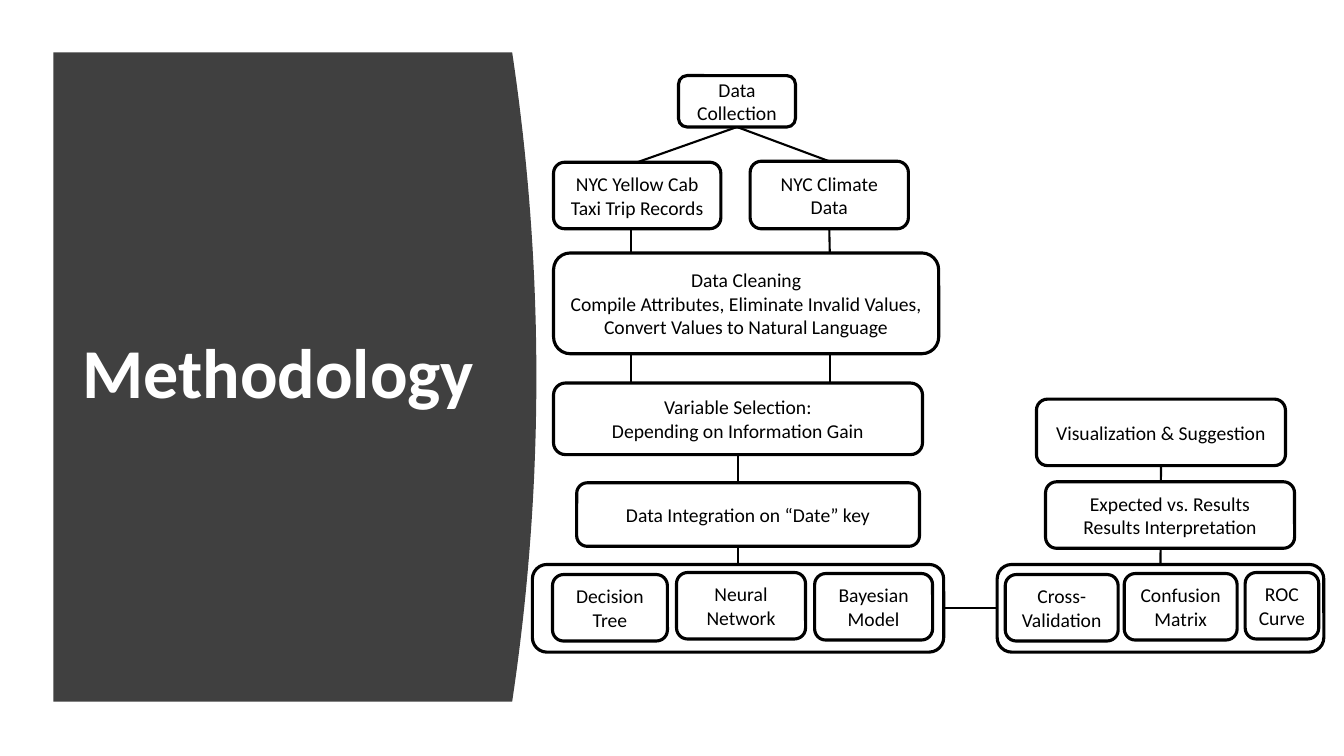
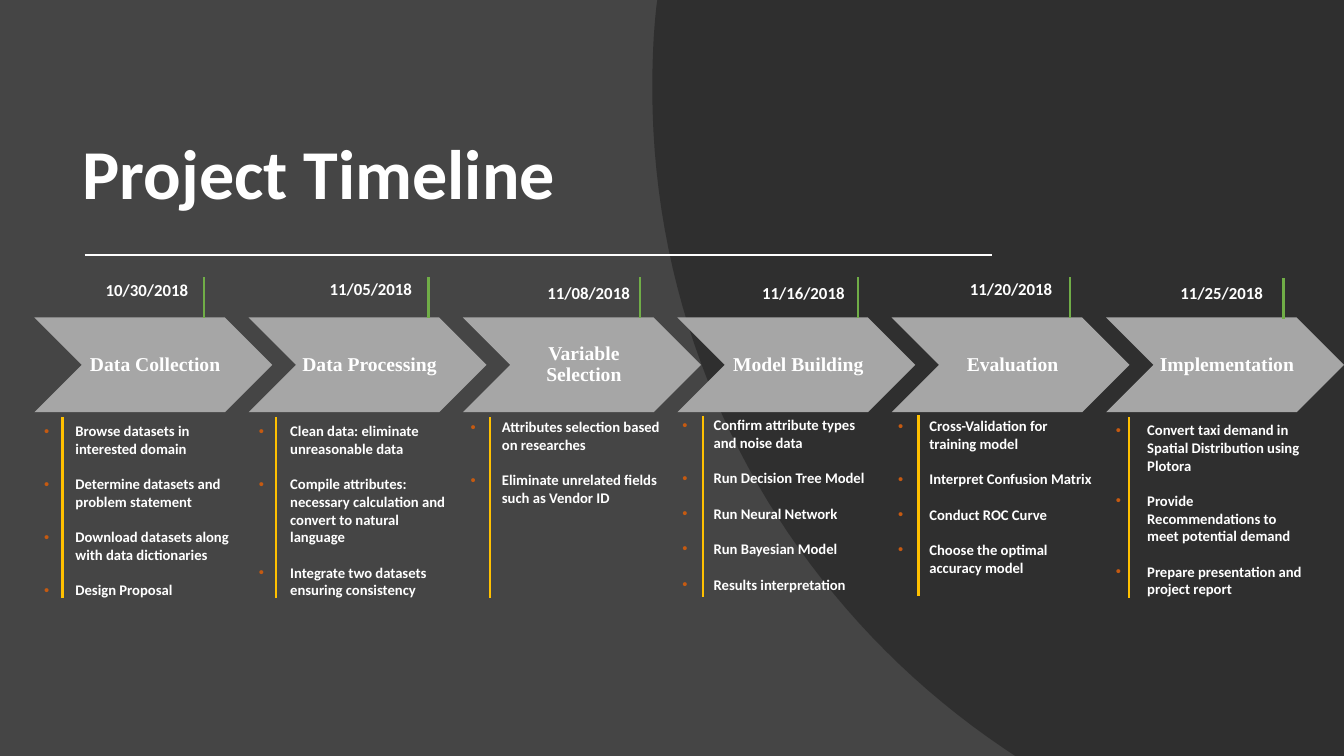
from dataclasses import dataclass

import lxml.etree
import pptx
import pptx.dml.color
import pptx.enum.shapes
import pptx.enum.text
import pptx.oxml.ns
import pptx.util

Inches = pptx.util.Inches
Pt = pptx.util.Pt
Color = pptx.dml.color.RGBColor
Shape = pptx.enum.shapes.MSO_SHAPE
Align = pptx.enum.text.PP_ALIGN
Anchor = pptx.enum.text.MSO_ANCHOR
qn = pptx.oxml.ns.qn
Point = tuple[float, float]
Area = tuple[float, float, float, float]
TOP, LEFT, BOTTOM, RIGHT = range(4)


@dataclass(frozen=True)
class Theme:
    white: Color = Color.from_string("FFFFFF")
    black: Color = Color.from_string("000000")
    panel: Color = Color.from_string("404040")
    backdrop: Color = Color.from_string("454545")
    shade: Color = Color.from_string("262626")
    step: Color = Color.from_string("A6A6A6")
    rule: Color = Color.from_string("FFC000")
    tick: Color = Color.from_string("70AD47")
    bullet: str = "C55A11"
    font: str = "Calibri"
    step_font: str = "Times New Roman"
    title_size: float = 50
    label_size: float = 14
    date_size: float = 12
    task_size: float = 10.5
    task_gap: float = 12.7
    line_width: float = 1.5
    border_width: float = 2.25


@dataclass(frozen=True)
class Node:
    key: str
    area: Area
    text: str = ""


@dataclass(frozen=True)
class Link:
    """A line between two node sides; a missing node leaves that end loose."""
    start: Point
    end: Point
    from_node: str = ""
    from_side: int = BOTTOM
    to_node: str = ""
    to_side: int = TOP


@dataclass(frozen=True)
class Stage:
    name: str
    date: str
    date_at: Point
    tick_at: Point
    rule_at: Point
    tasks_area: Area
    tasks: tuple[str, ...]


THEME = Theme()

NODES = (
    Node("collection", (6.73, 0.75, 1.16, 0.51), "Data Collection"),
    Node("climate", (7.44, 1.6, 1.57, 0.67), "NYC Climate Data"),
    Node("taxi", (5.49, 1.61, 1.66, 0.66), "NYC Yellow Cab Taxi Trip Records"),
    Node("cleaning", (5.49, 2.51, 3.82, 1),
         "Data Cleaning\nCompile Attributes, Eliminate Invalid Values,\n"
         "Convert Values to Natural Language"),
    Node("selection", (5.49, 3.8, 3.66, 0.71),
         "Variable Selection:\nDepending on Information Gain"),
    Node("visualization", (10.28, 3.96, 2.47, 0.66), "Visualization & Suggestion"),
    Node("models", (5.28, 5.6, 4.08, 0.87)),
    Node("tree", (5.48, 5.7, 1.14, 0.66), "Decision Tree"),
    Node("network", (6.71, 5.68, 1.28, 0.66), "Neural Network"),
    Node("bayes", (8.08, 5.69, 1.17, 0.66), "Bayesian Model"),
    Node("checks", (9.89, 5.6, 3.24, 0.87)),
    Node("cross", (9.97, 5.7, 1.12, 0.66), "Cross-Validation"),
    Node("confusion", (11.15, 5.69, 1.12, 0.66), "Confusion Matrix"),
    Node("roc", (12.35, 5.68, 0.73, 0.66), "ROC Curve"),
)
# These lie over a link that runs behind them.
FRONT_NODES = (
    Node("integration", (5.72, 4.79, 3.4, 0.63), "Data Integration on “Date” key"),
    Node("results", (10.37, 4.78, 2.47, 0.66),
         "Expected vs. Results\nResults Interpretation"),
)
LINKS = (
    Link((7.31, 1.26), (8.23, 1.6), "collection", BOTTOM, "climate", TOP),
    Link((7.31, 1.26), (6.32, 1.61), "collection", BOTTOM, "taxi", TOP),
    Link((6.26, 2.26), (6.26, 2.51)),
    Link((8.23, 2.27), (8.23, 2.51), "climate"),
    Link((6.26, 3.51), (6.26, 3.8)),
    Link((8.23, 3.51), (8.23, 3.8)),
    Link((7.32, 4.51), (7.32, 5.6), "selection", BOTTOM, "models", TOP),
    Link((9.36, 6.03), (9.89, 6.03), "models", RIGHT, "checks", LEFT),
    Link((11.51, 4.62), (11.51, 5.6), "visualization", BOTTOM, "checks", TOP),
)

STAGES = (
    Stage("Data Collection", "10/30/2018", (0.95, 2.73), (2.02, 2.75), (0.62, 4.14),
          (0.34, 4.14, 2.12, 1.87),
          ("Browse datasets in interested domain",
           "Determine datasets and problem statement",
           "Download datasets along with data dictionaries",
           "Design Proposal")),
    Stage("Data Processing", "11/05/2018", (3.17, 2.72), (4.25, 2.75), (2.74, 4.14),
          (2.47, 4.14, 2.12, 2.04),
          ("Clean data: eliminate unreasonable data",
           "Compile attributes: necessary calculation and convert to natural language",
           "Integrate two datasets ensuring consistency")),
    Stage("Variable Selection", "11/08/2018", (5.33, 2.76), (6.35, 2.75), (4.86, 4.14),
          (4.57, 4.1, 2.12, 1.34),
          ("Attributes selection based on researches",
           "Eliminate unrelated fields such as Vendor ID")),
    Stage("Model Building", "11/16/2018", (7.46, 2.76), (8.51, 2.75), (6.97, 4.13),
          (6.67, 4.08, 2.12, 2.4),
          ("Confirm attribute types and noise data",
           "Run Decision Tree Model",
           "Run Neural Network",
           "Run Bayesian Model",
           "Results interpretation")),
    Stage("Evaluation", "11/20/2018", (9.52, 2.72), (10.61, 2.75), (9.11, 4.12),
          (8.81, 4.09, 2.12, 2.04),
          ("Cross-Validation for training model",
           "Interpret Confusion Matrix",
           "Conduct ROC Curve",
           "Choose the optimal accuracy model")),
    Stage("Implementation", "11/25/2018", (11.61, 2.76), (12.73, 2.76), (11.2, 4.14),
          (10.97, 4.13, 2.12, 2.04),
          ("Convert taxi demand in Spatial Distribution using Plotora",
           "Provide Recommendations to meet potential demand",
           "Prepare presentation and project report")),
)


def inches(values: tuple[float, ...]) -> list[pptx.util.Length]:
    return [Inches(value) for value in values]


def write(box, text: str, size: float, color: Color, font: str = THEME.font,
          bold: bool = True, align=Align.LEFT, anchor=Anchor.TOP,
          spacing: float = 1.0) -> None:
    frame = box.text_frame
    frame.text = text
    frame.word_wrap = True
    frame.vertical_anchor = anchor
    for para in frame.paragraphs:
        para.alignment = align
        para.line_spacing = spacing
        for span in para.runs:
            span.font.name = font
            span.font.size = Pt(size)
            span.font.bold = bold
            span.font.color.rgb = color


def add_text(page, area: Area, text: str, size: float, **style):
    box = page.shapes.add_textbox(*inches(area))
    write(box, text, size, THEME.white, **style)
    return box


def add_title(page, area: Area, text: str, anchor) -> None:
    add_text(page, area, text, THEME.title_size, anchor=anchor, spacing=0.9)


def add_line(page, start: Point, end: Point, color: Color):
    line = page.shapes.add_connector(
        pptx.enum.shapes.MSO_CONNECTOR.STRAIGHT, *inches(start + end))
    line.line.color.rgb = color
    line.line.width = Pt(THEME.line_width)
    lxml.etree.SubElement(line.element.spPr, qn("a:effectLst"))
    return line


def add_outline(page, points: list[Point], color: Color):
    start, *others = [inches(point) for point in points]
    builder = page.shapes.build_freeform(*start)
    builder.add_line_segments(others, close=True)
    outline = builder.convert_to_shape()
    outline.shadow.inherit = False
    outline.fill.solid()
    outline.fill.fore_color.rgb = color
    outline.line.fill.background()
    return outline


def curve(a: Point, b: Point, c: Point, d: Point, steps: int = 40) -> list[Point]:
    """Points along a cubic Bézier curve."""
    points = []
    for step in range(steps + 1):
        t = step / steps
        weights = ((1 - t) ** 3, 3 * t * (1 - t) ** 2, 3 * t * t * (1 - t), t ** 3)
        x, y = (sum(w * p for w, p in zip(weights, axis)) for axis in zip(a, b, c, d))
        points.append((x, y))
    return points


def add_node(page, node: Node):
    box = page.shapes.add_shape(Shape.ROUNDED_RECTANGLE, *inches(node.area))
    box.shadow.inherit = False
    box.line.color.rgb = THEME.black
    box.line.width = Pt(THEME.border_width)
    if node.text:
        box.fill.solid()
        box.fill.fore_color.rgb = THEME.white
        write(box, node.text, THEME.label_size, THEME.black, bold=False,
              align=Align.CENTER, anchor=Anchor.MIDDLE)
    else:
        box.fill.background()
    return box


def add_bullet(para) -> None:
    properties = para._p.get_or_add_pPr()
    properties.set("marL", str(Inches(0.31)))
    properties.set("indent", str(Inches(-0.31)))
    color = lxml.etree.SubElement(properties, qn("a:buClr"))
    lxml.etree.SubElement(color, qn("a:srgbClr"), val=THEME.bullet)
    lxml.etree.SubElement(properties, qn("a:buFont"), typeface="Arial")
    lxml.etree.SubElement(properties, qn("a:buChar"), char="•")


def add_stage(page, stage: Stage, left: float) -> None:
    step = page.shapes.add_shape(Shape.CHEVRON, *inches((left, 3.15, 2.36, 0.94)))
    step.shadow.inherit = False
    step.fill.solid()
    step.fill.fore_color.rgb = THEME.step
    step.line.fill.background()
    write(step, stage.name, THEME.label_size, THEME.white, font=THEME.step_font,
          align=Align.CENTER, anchor=Anchor.MIDDLE, spacing=0.9)
    frame = step.text_frame
    frame.margin_left = Inches(0.06)
    frame.margin_right = frame.margin_top = frame.margin_bottom = Inches(0.02)

    for (x, y), length, color in ((stage.rule_at, 1.79, THEME.rule),
                                  (stage.tick_at, 0.4, THEME.tick)):
        add_line(page, (x, y), (x, y + length), color)
    add_text(page, stage.date_at + (1.22, 0.3), stage.date, THEME.date_size)
    tasks = add_text(page, stage.tasks_area, "\n".join(stage.tasks), THEME.task_size)
    for index, para in enumerate(tasks.text_frame.paragraphs):
        if index:
            para.space_before = Pt(THEME.task_gap)
        add_bullet(para)


def build_methodology(page) -> None:
    top, bottom, edge, bulge = 0.52, 6.96, 5.08, 0.24
    steps = 40
    arc = [(edge + bulge * (1 - (2 * i / steps - 1) ** 2),
            top + (bottom - top) * i / steps) for i in range(steps + 1)]
    add_outline(page, [(0.53, top), *arc, (0.53, bottom)], THEME.panel)
    add_title(page, (0.72, 1.11, 4.23, 5.24), "Methodology", Anchor.MIDDLE)

    boxes = {node.key: add_node(page, node) for node in NODES}
    for link in LINKS:
        line = add_line(page, link.start, link.end, THEME.black)
        if link.from_node:
            line.begin_connect(boxes[link.from_node], link.from_side)
        if link.to_node:
            line.end_connect(boxes[link.to_node], link.to_side)
    for node in FRONT_NODES:
        add_node(page, node)


def build_timeline(page) -> None:
    page.background.fill.solid()
    page.background.fill.fore_color.rgb = THEME.backdrop
    arc = (curve((9.95, 7.42), (7.85, 6), (6.47, 3.6), (6.47, 0.88))
           + curve((6.47, 0.88), (6.47, 0.61), (6.48, 0.34), (6.51, 0.07), 8)[1:])
    shade = add_outline(
        page, [(6.52, 0), (13.33, 0), (13.33, 7.5), (10.07, 7.5), *arc], THEME.shade)
    tint = shade.element.spPr.find(qn("a:solidFill")).find(qn("a:srgbClr"))
    lxml.etree.SubElement(tint, qn("a:alpha"), val="70000")

    add_title(page, (0.72, 0.4, 9.86, 1.78), "Project Timeline", Anchor.BOTTOM)
    add_line(page, (0.84, 2.53), (9.84, 2.53), THEME.white)
    first, last = 0.34, 10.97
    pitch = (last - first) / (len(STAGES) - 1)
    for index, stage in enumerate(STAGES):
        add_stage(page, stage, first + index * pitch)


def main() -> None:
    deck = pptx.Presentation()
    deck.slide_width, deck.slide_height = Inches(13.33), Inches(7.5)
    for build in (build_methodology, build_timeline):
        build(deck.slides.add_slide(deck.slide_layouts[6]))
    deck.save("out.pptx")


if __name__ == "__main__":
    main()
